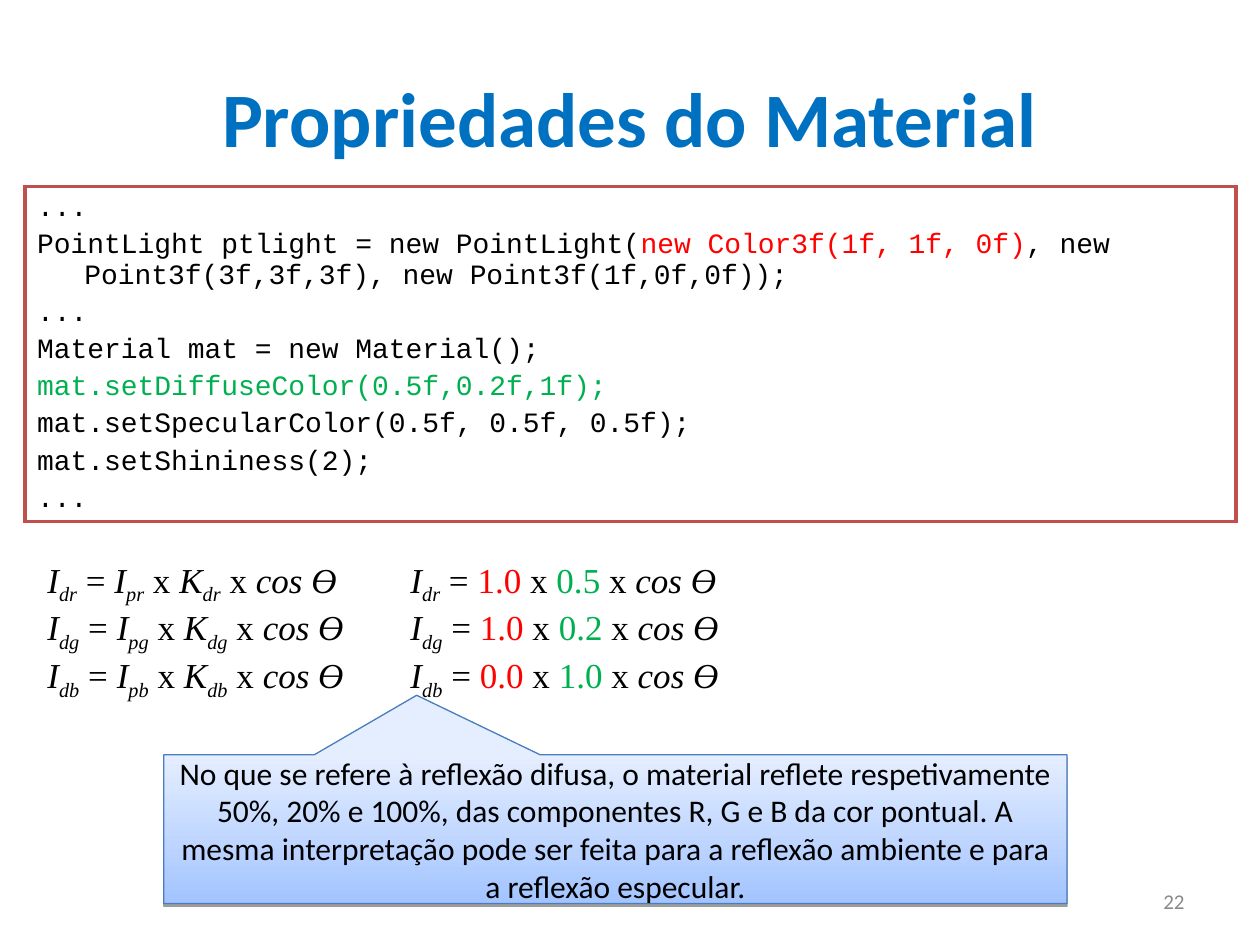
from lxml.etree import SubElement
from pptx import Presentation
from pptx.dml.color import RGBColor
from pptx.enum.shapes import MSO_SHAPE as Shape
from pptx.enum.text import MSO_ANCHOR as Anchor, MSO_AUTO_SIZE as AutoSize, PP_ALIGN as Align
from pptx.oxml.ns import qn
from pptx.util import Pt

BLACK = RGBColor(0x00, 0x00, 0x00)
WHITE = RGBColor(0xFF, 0xFF, 0xFF)
BLUE = RGBColor(0x00, 0x70, 0xC0)
GRAY = RGBColor(0x89, 0x89, 0x89)
RED = RGBColor(0xFF, 0x00, 0x00)
GREEN = RGBColor(0x00, 0xB0, 0x50)
CODE_BORDER = RGBColor(0xC0, 0x50, 0x4D)
CALLOUT_BORDER = RGBColor(0x4A, 0x7E, 0xBB)
CALLOUT_BOTTOM = RGBColor(0xA3, 0xC4, 0xFF)
CALLOUT_TOP = RGBColor(0xE5, 0xEE, 0xFF)

CODE = [
    [("...", BLACK)],
    [
        ("PointLight ptlight = new PointLight(", BLACK),
        ("new Color3f(1f, 1f, 0f)", RED),
        (", new Point3f(3f,3f,3f), new Point3f(1f,0f,0f));", BLACK),
    ],
    [("...", BLACK)],
    [("Material mat = new Material();", BLACK)],
    [("mat.setDiffuseColor(0.5f,0.2f,1f);", GREEN)],
    [("mat.setSpecularColor(0.5f, 0.5f, 0.5f);", BLACK)],
    [("mat.setShininess(2);", BLACK)],
    [("...", BLACK)],
]
COMPONENTS = [("r", "1.0", "0.5"), ("g", "1.0", "0.2"), ("b", "0.0", "1.0")]
CALLOUT_TEXT = (
    "No que se refere à reflexão difusa, o material reflete respetivamente "
    "50%, 20% e 100%, das componentes R, G e B da cor pontual. A mesma "
    "interpretação pode ser feita para a reflexão ambiente e para a reflexão especular."
)


def style_font(font, name, size, color, bold=False, italic=False):
    font.name = name
    font.size = Pt(size)
    font.color.rgb = color
    font.bold = bold
    font.italic = italic


def add_label(slide, box, text, size, color, align, bold=False):
    text_frame = slide.shapes.add_textbox(*map(Pt, box)).text_frame
    text_frame.word_wrap = True
    text_frame.vertical_anchor = Anchor.MIDDLE
    text_frame.text = text
    paragraph = text_frame.paragraphs[0]
    paragraph.alignment = align
    style_font(paragraph.runs[0].font, "Calibri", size, color, bold)


def add_paragraph(text_frame, index):
    return text_frame.add_paragraph() if index else text_frame.paragraphs[0]


def add_code(slide, box):
    shape = slide.shapes.add_shape(Shape.RECTANGLE, *map(Pt, box))
    shape.shadow.inherit = False
    shape.fill.solid()
    shape.fill.fore_color.rgb = WHITE
    shape.line.color.rgb = CODE_BORDER
    shape.line.width = Pt(2)
    SubElement(shape._element.spPr.find(qn("a:ln")), qn("a:miter"), lim="800000")
    text_frame = shape.text_frame
    text_frame.word_wrap = True
    text_frame.vertical_anchor = Anchor.TOP
    for index, line in enumerate(CODE):
        paragraph = add_paragraph(text_frame, index)
        paragraph.alignment = Align.LEFT
        paragraph.line_spacing = 0.9
        if index:
            paragraph.space_before = Pt(4)
        properties = paragraph._p.get_or_add_pPr()
        properties.set("marL", str(Pt(27)))
        properties.set("indent", str(Pt(-27)))
        for text, color in line:
            run = paragraph.add_run()
            run.text = text
            style_font(run.font, "Courier New", 16, color)


def symbol(letter, subscript):
    return [(letter, BLACK, True, False), (subscript, BLACK, True, True)]


def plain(text, color=BLACK):
    return [(text, color, False, False)]


def equation(component, light, material):
    return (
        symbol("I", "d" + component) + plain(" = ") + light + plain(" x ")
        + material + plain(" x ") + [("cos Ɵ", BLACK, True, False)]
    )


def add_equations(slide, box, equations):
    text_frame = slide.shapes.add_textbox(*map(Pt, box)).text_frame
    text_frame.word_wrap = False
    text_frame.auto_size = AutoSize.SHAPE_TO_FIT_TEXT
    for index, parts in enumerate(equations):
        paragraph = add_paragraph(text_frame, index)
        for text, color, italic, subscript in parts:
            run = paragraph.add_run()
            run.text = text
            style_font(run.font, "Times New Roman", 20, color, italic=italic)
            if subscript:
                run._r.get_or_add_rPr().set("baseline", "-25000")


def add_callout(slide, box):
    shape = slide.shapes.add_shape(Shape.RECTANGULAR_CALLOUT, *map(Pt, box))
    shape.adjustments[0] = -0.22
    shape.adjustments[1] = -0.9
    shape.fill.gradient()
    shape.fill.gradient_angle = 90
    for stop, color in zip(shape.fill.gradient_stops, (CALLOUT_BOTTOM, CALLOUT_TOP)):
        stop.color.rgb = color
    shape.line.color.rgb = CALLOUT_BORDER
    shape.line.width = Pt(0.75)
    shape.shadow.inherit = False
    effects = shape._element.spPr.find(qn("a:effectLst"))
    shadow = SubElement(effects, qn("a:outerShdw"), blurRad="0", dist=str(Pt(1.6)),
                        dir="5400000", rotWithShape="0")
    shadow_color = SubElement(shadow, qn("a:srgbClr"), val=str(BLACK))
    SubElement(shadow_color, qn("a:alpha"), val="38000")
    text_frame = shape.text_frame
    text_frame.word_wrap = True
    text_frame.vertical_anchor = Anchor.MIDDLE
    text_frame.text = CALLOUT_TEXT
    paragraph = text_frame.paragraphs[0]
    paragraph.alignment = Align.CENTER
    style_font(paragraph.runs[0].font, "Calibri", 18, BLACK)


def main():
    presentation = Presentation()
    presentation.slide_width = Pt(720)
    presentation.slide_height = Pt(540)
    slide = presentation.slides.add_slide(presentation.slide_layouts[6])
    add_label(slide, (36, 21.6, 648, 90), "Propriedades do Material", 44, BLUE, Align.CENTER, True)
    add_label(slide, (516, 500.4, 168, 28.8), "22", 12, GRAY, Align.RIGHT)
    add_code(slide, (14.2, 106.5, 692, 191.5))
    add_equations(slide, (20, 315.4, 183.6, 89.3), [
        equation(component, symbol("I", "p" + component), symbol("K", "d" + component))
        for component, _, _ in COMPONENTS
    ])
    add_equations(slide, (227.5, 315.4, 191, 89.3), [
        equation(component, plain(light, RED), plain(material, GREEN))
        for component, light, material in COMPONENTS
    ])
    add_callout(slide, (93.6, 431.3, 516.2, 85))
    presentation.save("out.pptx")


if __name__ == "__main__":
    main()
